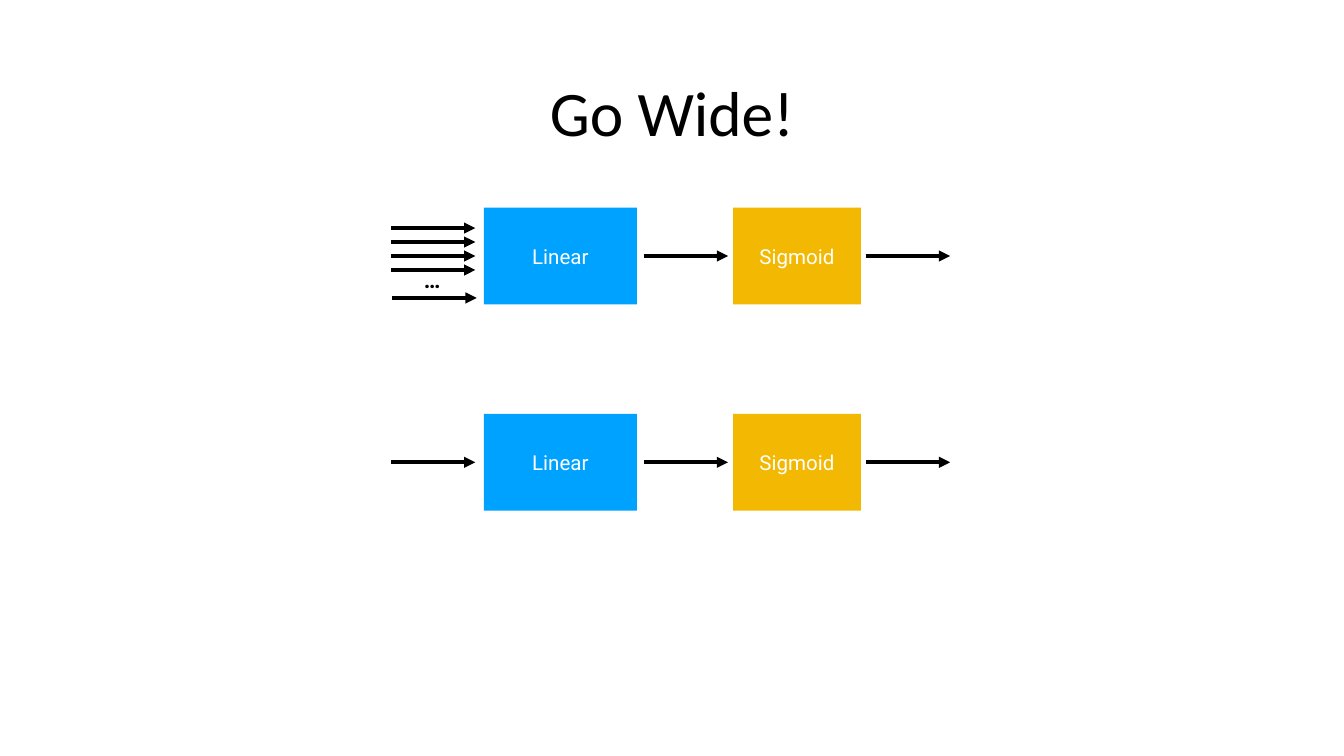
from pptx import Presentation
from pptx import util as u
from pptx.dml.color import RGBColor
from pptx.enum import shapes, text
from pptx.oxml.ns import qn
from lxml import etree

COLORS = {"linear": "00A2FF", "sigmoid": "F3B802", "ink": "000000", "light": "FFFFFF"}
UNIT = u.Inches(0.1)
INSET = 0.3
ARROW = 6.27
PITCH = 1.04
LAYERS = [("Linear", "linear", 6.9, 11.4), ("Sigmoid", "sigmoid", 25.45, 9.5)]


def grid(*cells):
    return [round(cell * UNIT) for cell in cells]


def write(shape, words, size, color, font="Roboto", bold=False, inset=INSET):
    frame = shape.text_frame
    margin = round(inset * UNIT)
    frame_format = {
        "word_wrap": True,
        "auto_size": text.MSO_AUTO_SIZE.NONE,
        "vertical_anchor": text.MSO_ANCHOR.MIDDLE,
        "margin_left": margin,
        "margin_right": margin,
        "margin_top": margin,
        "margin_bottom": margin,
    }
    for name, value in frame_format.items():
        setattr(frame, name, value)
    para = frame.paragraphs[0]
    para.alignment = text.PP_ALIGN.CENTER
    span = para.add_run()
    span.text = words
    for name, value in {"name": font, "size": u.Pt(size), "bold": bold}.items():
        setattr(span.font, name, value)
    span.font.color.rgb = RGBColor.from_string(COLORS[color])


def add_title(page, box, words):
    title = page.shapes.title
    for name, value in zip(("left", "top", "width", "height"), grid(*box)):
        setattr(title, name, value)
    write(title, words, 34, "ink", font="Calibri", inset=0.2)


def add_arrow(page, left, middle):
    ends = grid(left, middle, left + ARROW, middle)
    arrow = page.shapes.add_connector(shapes.MSO_CONNECTOR.STRAIGHT, *ends)
    arrow.line.color.rgb = RGBColor.from_string(COLORS["ink"])
    arrow.line.width = u.Pt(2)
    etree.SubElement(arrow.line._get_or_add_ln(), qn("a:tailEnd"), type="triangle")
    etree.SubElement(arrow._element.spPr, qn("a:effectLst"))


def add_layer(page, box, words, color):
    layer = page.shapes.add_shape(shapes.MSO_SHAPE.RECTANGLE, *grid(*box))
    layer.shadow.inherit = False
    layer.fill.solid()
    layer.fill.fore_color.rgb = RGBColor.from_string(COLORS[color])
    layer.line.fill.background()
    write(layer, words, 11, "light")


def add_network(page, box, wide=False):
    left, top, width, height = box
    middle = top + height / 2
    for words, color, offset, span_width in LAYERS:
        add_layer(page, (left + offset, top, span_width, height), words, color)
    for offset in (18.8, width - ARROW):
        add_arrow(page, left + offset, middle)
    for step in range(-2, 2) if wide else [0]:
        add_arrow(page, left, middle + step * PITCH)
    if wide:
        add_arrow(page, left + 0.1, middle + 3 * PITCH)
        dots = page.shapes.add_textbox(*grid(left + 1.9, middle + 0.45, 2.3, 2.6))
        write(dots, "…", 12, "ink", bold=True)


def main():
    deck = Presentation()
    deck.slide_width, deck.slide_height = grid(100, 56.25)
    page = deck.slides.add_slide(deck.slide_layouts[5])
    add_title(page, (4.7, 3, 90.6, 10.5), "Go Wide!")
    add_network(page, (29.1, 15.45, 41.6, 7.2), wide=True)
    add_network(page, (29.1, 30.8, 41.6, 7.2))
    deck.save("out.pptx")


if __name__ == "__main__":
    main()
